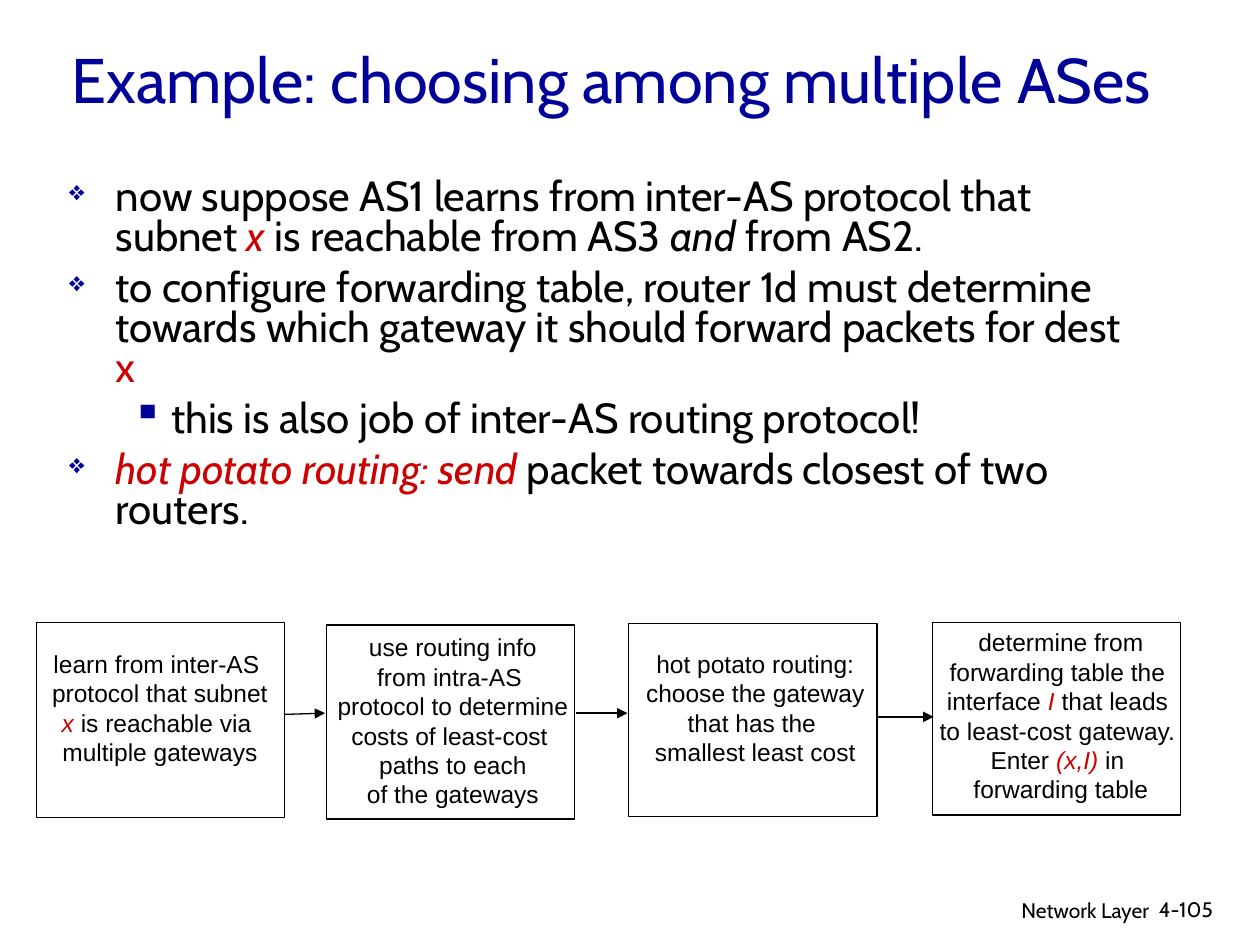
from lxml.etree import SubElement as Sub
from pptx import Presentation
from pptx.dml.color import RGBColor as RGB
from pptx.enum.shapes import MSO_CONNECTOR as Conn, MSO_SHAPE as Kind
from pptx.enum.text import MSO_ANCHOR as Anchor, PP_ALIGN as Align
from pptx.oxml.ns import qn
from pptx.util import Inches, Pt

INK = {"text": "000000", "red": "CC0000", "navy": "000099"}
LOOK = {"plain": ("text", False), "slant": ("text", True), "key": ("red", True),
        "red": ("red", False), "head": ("navy", False)}

deck = Presentation()
deck.slide_width, deck.slide_height = Inches(10), Inches(7.5)
COL, ROW = deck.slide_width / 100, deck.slide_height / 75
slide = deck.slides.add_slide(deck.slide_layouts[6])
shapes = slide.shapes


def grid(x, y, w, h):
    return int(x * COL), int(y * ROW), int(w * COL), int(h * ROW)


def write(spot, paras, font, size, align=Align.LEFT, wrap=True):
    frame = shapes.add_textbox(*grid(*spot)).text_frame
    frame.word_wrap = wrap
    for i, runs in enumerate(paras):
        para = frame.add_paragraph() if i else frame.paragraphs[0]
        para.alignment = align
        for text, look in runs:
            run = para.add_run()
            run.text = text
            tint, slant = LOOK[look]
            run.font.name, run.font.size = font, Pt(size)
            run.font.italic = slant
            run.font.color.rgb = RGB.from_string(INK[tint])
    return frame


write((60.5, 70.7, 31.7, 3.1), [[("Network Layer", "plain")]], "Cabin", 12, Align.RIGHT)
write((91, 70.7, 7.4, 3), [[("4-105", "plain")]], "Cabin", 12)

steps = [
    ((2.9, 49.4, 15.5), (2.9, 51, 19.6, 10.4), False, [
        [("learn from inter-AS ", "plain")],
        [("protocol that subnet ", "plain")],
        [("x ", "key"), ("is reachable via ", "plain")],
        [("multiple gateways", "plain")]]),
    ((25.9, 49.6, 15.4), (24.4, 49.7, 23.1, 15), True, [
        [("use routing info", "plain")],
        [("from intra-AS ", "plain")],
        [("protocol to determine", "plain")],
        [("costs of least-cost ", "plain")],
        [("paths to each", "plain")],
        [("of the gateways", "plain")]]),
    ((49.9, 49.5, 15.3), (50.1, 51, 19.7, 10.4), True, [
        [("hot potato routing:", "plain")],
        [("choose the gateway", "plain")],
        [("that has the ", "plain")],
        [("smallest least cost", "plain")]]),
    ((74, 49.4, 15.3), (73.5, 49.3, 21.4, 15), False, [
        [("determine from", "plain")],
        [("forwarding table the ", "plain")],
        [("interface", "plain"), (" I ", "key"), ("that leads ", "plain")],
        [("to least-cost gateway. ", "plain")],
        [("Enter ", "plain"), ("(x,I) ", "key"), ("in ", "plain")],
        [("forwarding table", "plain")]]),
]
for (x, y, tall), spot, wrap, paras in steps:
    box = shapes.add_shape(Kind.RECTANGLE, *grid(x, y, 19.7, tall))
    box.shadow.inherit = False
    box.fill.background()
    box.line.color.rgb = RGB.from_string(INK["text"])
    box.line.width = Pt(0.75)
    write(spot, paras, "Arial", 14, Align.CENTER, wrap)

for x, y, end, drop in [(22.6, 56.7, 25.8, 56.6), (45.7, 56.6, 49.8, 56.6),
                        (69.7, 56.9, 74.1, 56.9)]:
    arrow = shapes.add_connector(Conn.STRAIGHT, *grid(x, y, end, drop))
    arrow.line.color.rgb = RGB.from_string(INK["text"])
    arrow.line.width = Pt(0.75)
    Sub(arrow.line._get_or_add_ln(), qn("a:tailEnd"), type="triangle")
    Sub(arrow._element.spPr, qn("a:effectLst"))

title = write((4.7, 0, 95.9, 12.5),
              [[("Example: choosing among multiple ASes", "head")]], "Cabin", 36)
title.vertical_anchor = Anchor.MIDDLE

body = write((4.5, 13.7, 87.4, 30.1), [
    [("now suppose AS1 learns from inter-AS protocol that subnet ", "plain"),
     ("x ", "key"), ("is reachable from AS3 ", "plain"),
     ("and", "slant"), (" from AS2.", "plain")],
    [("to configure forwarding table, router 1d must determine towards which "
      "gateway it should forward packets for dest ", "plain"), ("x", "red")],
    [("this is also job of inter-AS routing protocol!", "plain")],
    [("hot potato routing: send", "key"),
     (" packet towards closest of two routers.", "plain")],
], "Cabin", 24)
for i, para in enumerate(body.paragraphs):
    sub = i == 2
    left, hang, mark, size = (8.1, 3.1, "▪", 100) if sub else (3.7, 3.7, "❖", 65)
    para.level = int(sub)
    props = para._p.get_or_add_pPr()
    props.set("marL", str(int(left * COL)))
    props.set("indent", str(int(-hang * COL)))
    tint = Sub(props, qn("a:buClr"))
    Sub(tint, qn("a:srgbClr"), val=INK["navy"])
    Sub(props, qn("a:buSzPct"), val=str(size * 1000))
    Sub(props, qn("a:buChar"), char=mark)
    para.line_spacing = 0.8
    para.space_before = Pt(6 if i else 0)

deck.save("out.pptx")
